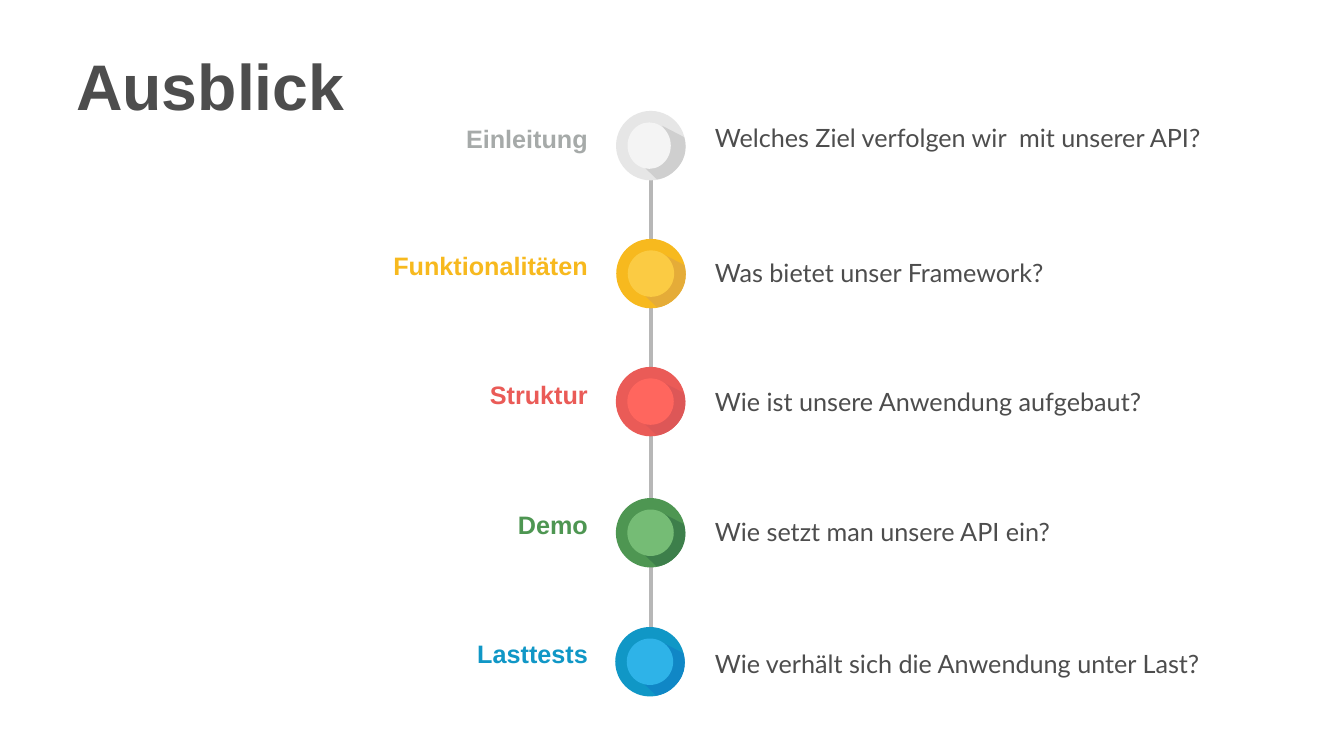
from lxml.etree import SubElement
from pptx import Presentation
from pptx.dml.color import RGBColor
from pptx.enum.shapes import MSO_CONNECTOR, MSO_SHAPE
from pptx.enum.text import MSO_ANCHOR, PP_ALIGN
from pptx.oxml.ns import qn
from pptx.util import Cm, Pt

TEXT_COLOR = "4D4D4D"
LINE_COLOR = "B7B7B7"
INSET = 0.14
MARKER_SIZE = 3.5
CORE_INSET, CORE_SIZE = 0.58, 2.34
LABEL_LEFT, LABEL_WIDTH = 17.04, 12.73
QUESTION_LEFT, QUESTION_WIDTH, QUESTION_HEIGHT = 35.89, 31.55, 2

# Label, question, marker position, label top and height, question top,
# core width, line spacing, then colours of ring, shade, core and label
TOPICS = [
    ("Einleitung", "Welches Ziel verfolgen wir  mit unserer API?", (31.05, 5.59),
     (6.05, 2), 6.02, 2.18, None, ("E6E6E6", "CFCFCF", "F4F4F4", "A6AAA9")),
    ("Funktionalitäten", "Was bietet unser Framework?", (31.06, 12.04),
     (12.5, 1.68), 12.34, CORE_SIZE, 57, ("F7B91E", "E5AC38", "FBCB43", "F7B91E")),
    ("Struktur", "Wie ist unsere Anwendung aufgebaut?", (31.04, 18.49),
     (19, 1.68), 18.85, CORE_SIZE, 57, ("EA5B57", "DD5757", "FF665E", "EA5B57")),
    ("Demo", "Wie setzt man unsere API ein?", (31.04, 25.1),
     (25.55, 1.68), 25.4, CORE_SIZE, 57, ("4E9652", "3D7F4B", "75BC75", "4E9652")),
    ("Lasttests", "Wie verhält sich die Anwendung unter Last?", (31.01, 31.6),
     (32.05, 1.68), 32.05, CORE_SIZE, 57, ("1097C6", "1087C6", "2EB3E8", "1097C6")),
]

# Corners of the shade, in cm from the marker's top left corner, and the two
# control points of each side that is curved, by number of the side
SHADE_CORNERS = [(1.32, 2.74), (2.06, 3.45), (3.2, 2.74), (3.43, 1.32),
                 (2.31, 0.74), (2.54, 2.34), (1.32, 2.74)]
SHADE_CONTROLS = {
    1: ((2.06, 3.45), (2.69, 3.43)),
    2: ((3.71, 2.06), (3.43, 1.32)),
    4: ((2.31, 0.74), (3.07, 1.57)),
    5: ((2.03, 3.05), (1.32, 2.74)),
}


def rgb(color):
    return RGBColor.from_string(color)


def paint(shape, color):
    shape.shadow.inherit = False
    shape.fill.solid()
    shape.fill.fore_color.rgb = rgb(color)
    shape.line.fill.background()


def add_text(slide, box, text, font_name, size, color, bold=False,
             align=PP_ALIGN.LEFT, spacing=None, inset=INSET):
    text_frame = slide.shapes.add_textbox(*map(Cm, box)).text_frame
    text_frame.word_wrap = True
    text_frame.vertical_anchor = MSO_ANCHOR.TOP
    text_frame.margin_left = text_frame.margin_right = Cm(inset)
    text_frame.margin_top = text_frame.margin_bottom = Cm(inset)
    text_frame.text = text
    paragraph = text_frame.paragraphs[0]
    paragraph.alignment = align
    if spacing:
        paragraph.line_spacing = Pt(spacing)
    font = paragraph.runs[0].font
    font.name, font.size, font.bold = font_name, Pt(size), bold
    font.color.rgb = rgb(color)


def add_shade(shapes, left, top, color):
    corners = [(Cm(left + x), Cm(top + y)) for x, y in SHADE_CORNERS]
    builder = shapes.build_freeform(*corners[0])
    builder.add_line_segments(corners[1:], close=True)
    shade = builder.convert_to_shape()
    paint(shade, color)

    # Bend the curved sides
    sides = list(shade._element.iter(qn("a:lnTo")))
    for number, controls in SHADE_CONTROLS.items():
        side = sides[number]
        side.tag = qn("a:cubicBezTo")
        for position, (x, y) in enumerate(controls):
            point = SubElement(side, qn("a:pt"))
            point.set("x", str(Cm(left + x) - shade.left))
            point.set("y", str(Cm(top + y) - shade.top))
            side.insert(position, point)


def add_marker(slide, left, top, core_width, ring_color, shade_color, core_color):
    shapes = slide.shapes.add_group_shape().shapes
    ring = shapes.add_shape(MSO_SHAPE.OVAL, Cm(left), Cm(top),
                            Cm(MARKER_SIZE), Cm(MARKER_SIZE))
    paint(ring, ring_color)
    add_shade(shapes, left, top, shade_color)
    core = shapes.add_shape(MSO_SHAPE.OVAL, Cm(left + CORE_INSET), Cm(top + CORE_INSET),
                            Cm(core_width), Cm(CORE_SIZE))
    paint(core, core_color)


def add_timeline_line(slide, x, top, bottom):
    line = slide.shapes.add_connector(MSO_CONNECTOR.STRAIGHT,
                                      Cm(x), Cm(top), Cm(x), Cm(bottom))
    line.line.color.rgb = rgb(LINE_COLOR)
    line.line.width = Pt(5)
    SubElement(line._element.spPr, qn("a:effectLst"))


def add_topic(slide, topic):
    label, question, marker, label_span, question_top, core_width, spacing, colors = topic
    *marker_colors, label_color = colors
    label_top, label_height = label_span
    add_marker(slide, *marker, core_width, *marker_colors)
    add_text(slide, (LABEL_LEFT, label_top, LABEL_WIDTH, label_height), label,
             "Arial", 36, label_color, bold=True, align=PP_ALIGN.RIGHT)
    add_text(slide, (QUESTION_LEFT, question_top, QUESTION_WIDTH, QUESTION_HEIGHT),
             question, "Lato", 36, TEXT_COLOR, spacing=spacing)


def main():
    presentation = Presentation()
    presentation.slide_width, presentation.slide_height = Cm(67.74), Cm(38.1)
    slide = presentation.slides.add_slide(presentation.slide_layouts[6])

    # Title
    add_text(slide, (3.84, 2.34, 60.07, 4.19), "Ausblick", "Arial", 92,
             TEXT_COLOR, bold=True, inset=0)

    # Timeline
    add_timeline_line(slide, 32.82, 7.01, 35.1)
    for topic in TOPICS:
        add_topic(slide, topic)

    presentation.save("out.pptx")


if __name__ == "__main__":
    main()
